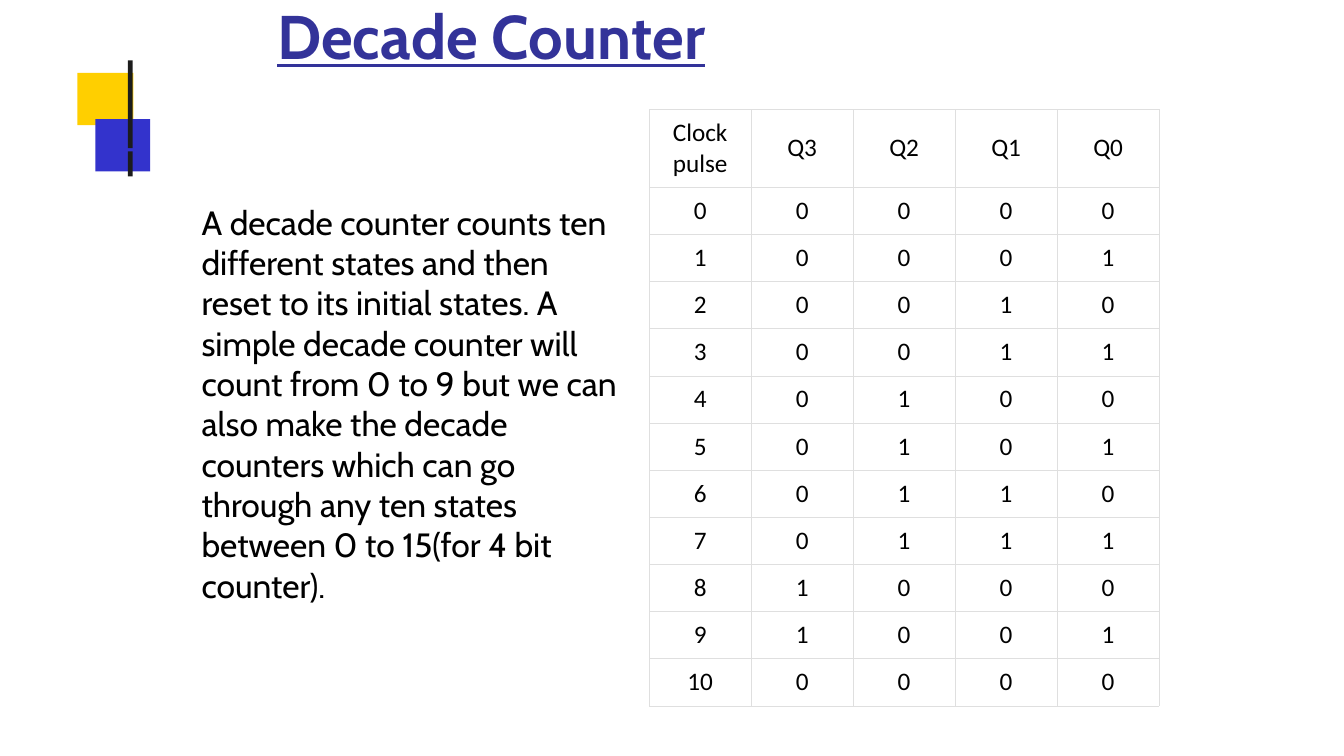
from lxml.etree import SubElement
from pptx import Presentation
from pptx.dml.color import RGBColor
from pptx.enum.shapes import MSO_SHAPE
from pptx.enum.text import MSO_ANCHOR, PP_ALIGN
from pptx.oxml.ns import qn
from pptx.util import Pt


def color(hex_string):
    return RGBColor.from_string(hex_string)


def add_text(frame, text, font, size, text_color):
    frame.word_wrap = True
    run = frame.paragraphs[0].add_run()
    run.text = text
    run.font.name = font
    run.font.size = Pt(size)
    run.font.color.rgb = color(text_color)
    return run


deck = Presentation()
deck.slide_width, deck.slide_height = Pt(960), Pt(540)
slide = deck.slides.add_slide(deck.slide_layouts[6])

# Corner ornament: two squares
ornament = []
for left, top, width, square_color in [
    (55.3, 52, 40, "FFCF00"),
    (68.2, 85, 39, "3333CC"),
]:
    square = slide.shapes.add_shape(
        MSO_SHAPE.RECTANGLE, Pt(left), Pt(top), Pt(width), Pt(37.4))
    ornament.append((square, square_color))

# Corner ornament: vertical bar with a gap
bar_left, bar_right = Pt(91.4), Pt(94.7)
bar_outline = slide.shapes.build_freeform(bar_left, Pt(43.2))
for top, bottom in [(43.2, 105.9), (108.1, 126)]:
    bar_outline.move_to(bar_left, Pt(top))
    bar_outline.add_line_segments([
        (bar_right, Pt(top)), (bar_right, Pt(bottom)), (bar_left, Pt(bottom))])
ornament.append((bar_outline.convert_to_shape(), "1C1C1C"))

for part, part_color in ornament:
    part.shadow.inherit = False
    part.fill.solid()
    part.fill.fore_color.rgb = color(part_color)
    part.line.fill.background()

# Title and explanation
explanation = (
    "A decade counter counts ten different states and then reset to its "
    "initial states. A simple decade counter will count from 0 to 9 but we "
    "can also make the decade counters which can go through any ten states "
    "between 0 to 15(for 4 bit counter).")
for text, box, size, text_color, is_title in [
    ("Decade Counter", (198, -1.4, 620.6, 53.3), 44, "333399", True),
    (explanation, (144, 144, 300.2, 290.9), 24, "000000", False),
]:
    frame = slide.shapes.add_textbox(*map(Pt, box)).text_frame
    frame.margin_left = frame.margin_right = 0
    frame.margin_top = frame.margin_bottom = 0
    run = add_text(frame, text, "Cabin", size, text_color)
    run.font.bold = run.font.underline = is_title

# State table: each clock pulse shows its count, and pulse 10 resets to 0
states = [["Clock pulse", "Q3", "Q2", "Q1", "Q0"]]
for pulse in range(11):
    states.append([str(pulse), *f"{pulse % 10:04b}"])

header_height, row_height, column_width = 55.7, 33.7, 72.86
state_table = slide.shapes.add_table(
    len(states), 5, Pt(463.7), Pt(78), Pt(5 * column_width),
    Pt(header_height + 11 * row_height)).table
state_table.first_row = state_table.horz_banding = False
for column in state_table.columns:
    column.width = Pt(column_width)

for row_index, state in enumerate(states):
    state_table.rows[row_index].height = Pt(row_height if row_index else header_height)
    for column_index, value in enumerate(state):
        cell = state_table.cell(row_index, column_index)
        cell.margin_left = cell.margin_right = Pt(4.3)
        cell.margin_top = cell.margin_bottom = Pt(5.7)
        cell.vertical_anchor = MSO_ANCHOR.MIDDLE
        add_text(cell.text_frame, value, "Calibri", 18, "000000")
        cell.text_frame.paragraphs[0].alignment = PP_ALIGN.CENTER
        # Borders go before the fill in the cell properties
        properties = cell._tc.get_or_add_tcPr()
        for side in ("a:lnL", "a:lnR", "a:lnT", "a:lnB"):
            border = SubElement(properties, qn(side), w=str(Pt(0.23)))
            border_fill = SubElement(border, qn("a:solidFill"))
            SubElement(border_fill, qn("a:srgbClr"), val="DFDFDF")
        cell.fill.solid()
        cell.fill.fore_color.rgb = color("FFFFFF")

deck.save("out.pptx")
